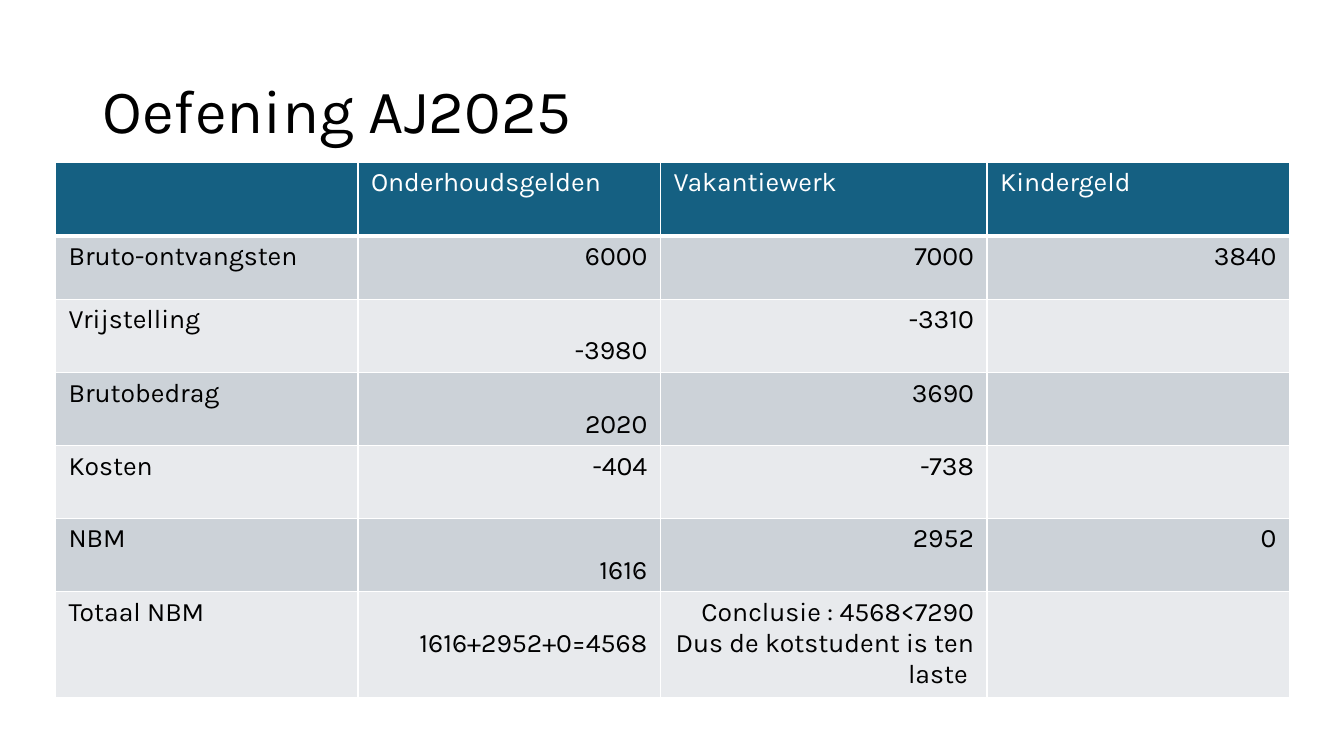
"""Builds the slide with the exercise table on the dependent student."""
from lxml.etree import SubElement
from pptx import Presentation
from pptx.dml.color import RGBColor
from pptx.enum.text import MSO_ANCHOR, PP_ALIGN
from pptx.oxml.ns import qn
from pptx.util import Inches, Pt

TITLE = "Oefening AJ2025"
ROWS = [
    ["", "Onderhoudsgelden", "Vakantiewerk", "Kindergeld"],
    ["Bruto-ontvangsten", "6000", "7000", "3840"],
    ["Vrijstelling", "-3980", "-3310", ""],
    ["Brutobedrag", "2020", "3690", ""],
    ["Kosten", "-404", "-738", ""],
    ["NBM", "1616", "2952", "0"],
    ["Totaal NBM", "1616+2952+0=4568",
     "Conclusie : 4568<7290\nDus de kotstudent is ten laste ", ""],
]
LOWERED = {(2, 1), (3, 1), (5, 1), (6, 1)}
COLUMN_WIDTHS = [3, 3, 3.24, 3]
ROW_HEIGHTS = [0.73, 0.63] + [0.72] * 4 + [1.03]
TABLE_LEFT, TABLE_TOP = 0.55, 1.61
SIDE_INSET, EDGE_INSET, LINE_HEIGHT = 0.13, 0.05, 0.31

FONT = "Karla"
BLACK = RGBColor(0x00, 0x00, 0x00)
WHITE = RGBColor(0xFF, 0xFF, 0xFF)
HEADER = RGBColor(0x15, 0x60, 0x82)
BANDS = [RGBColor(0xE8, 0xEA, 0xED), RGBColor(0xCC, 0xD2, 0xD8)]


def add_span(para, text, size, color):
    span = para.add_run()
    span.text = text
    span.font.name = FONT
    span.font.size = Pt(size)
    span.font.bold = False
    span.font.color.rgb = color


def add_borders(cell, bottom_width):
    properties = cell._tc.get_or_add_tcPr()
    for side, width in (("L", 1), ("R", 1), ("T", 1), ("B", bottom_width)):
        line = SubElement(properties, qn(f"a:ln{side}"), w=str(Pt(width)))
        fill = SubElement(line, qn("a:solidFill"))
        SubElement(fill, qn("a:srgbClr"), val=str(WHITE))


def add_title(page):
    box = page.shapes.add_textbox(Inches(0.92), Inches(0.4), Inches(11.5), Inches(1.45))
    frame = box.text_frame
    frame.word_wrap = True
    frame.vertical_anchor = MSO_ANCHOR.MIDDLE
    para = frame.paragraphs[0]
    para.line_spacing = 0.9
    add_span(para, TITLE, 44, BLACK)


def fill_cell(cell, row, column, text):
    header = row == 0
    add_borders(cell, 3 if header else 1)
    cell.fill.solid()
    cell.fill.fore_color.rgb = HEADER if header else BANDS[row % 2]
    cell.margin_left = cell.margin_right = Inches(SIDE_INSET)
    drop = LINE_HEIGHT if (row, column) in LOWERED else 0
    cell.margin_top = Inches(EDGE_INSET + drop)
    cell.margin_bottom = Inches(EDGE_INSET)
    frame = cell.text_frame
    for index, line in enumerate(text.split("\n")):
        para = frame.add_paragraph() if index else frame.paragraphs[0]
        para.alignment = PP_ALIGN.RIGHT if row and column else PP_ALIGN.LEFT
        if line:
            add_span(para, line, 19, WHITE if header else BLACK)


def add_budget_table(page):
    table = page.shapes.add_table(
        len(ROWS), len(COLUMN_WIDTHS), Inches(TABLE_LEFT), Inches(TABLE_TOP),
        Inches(sum(COLUMN_WIDTHS)), Inches(sum(ROW_HEIGHTS))).table
    table.horz_banding = False
    for column, width in zip(table.columns, COLUMN_WIDTHS):
        column.width = Inches(width)
    for row, height in zip(table.rows, ROW_HEIGHTS):
        row.height = Inches(height)
    for row, texts in enumerate(ROWS):
        for column, text in enumerate(texts):
            fill_cell(table.cell(row, column), row, column, text)


def main():
    deck = Presentation()
    deck.slide_width, deck.slide_height = Inches(13.33), Inches(7.5)
    page = deck.slides.add_slide(deck.slide_layouts[6])
    add_title(page)
    add_budget_table(page)
    deck.save("out.pptx")


if __name__ == "__main__":
    main()
